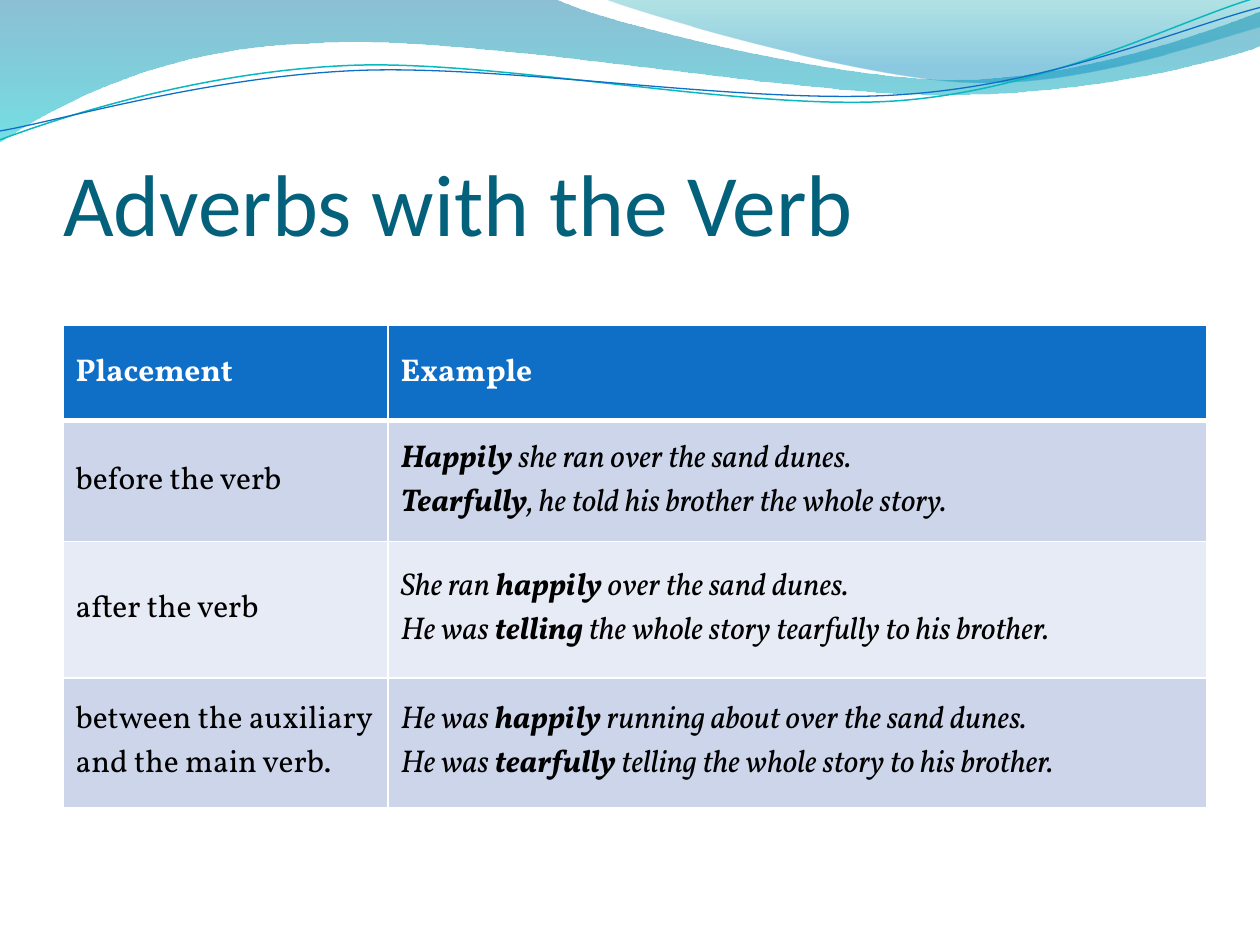
from math import cos, radians, sin

from lxml.etree import SubElement as Sub
from pptx import Presentation
from pptx.dml.color import RGBColor as RGB
from pptx.enum.text import MSO_ANCHOR as Anchor, MSO_AUTO_SIZE as Fit, PP_ALIGN as Align
from pptx.oxml.ns import qn
from pptx.util import Inches as In, Pt

WIDE, HIGH = 10, 7.5
LEFT = WIDE / 20
TILT = 2.7
BLUE, DARK, PALE, MIST = "0F6FC6", "04617B", "CCD5EA", "E7EBF5"
COLS = [2.58, 6.5]
ROWS = [0.76, 0.96, 1.08, 1.03]
CELLS = [
    (["Placement"], ["Example"]),
    (["before the verb"],
     ["*Happily* she ran over the sand dunes.",
      "*Tearfully*, he told his brother the whole story."]),
    (["after the verb"],
     ["She ran *happily* over the sand dunes.",
      "He was *telling* the whole story tearfully to his brother."]),
    (["between the auxiliary and the main verb."],
     ["He was *happily* running about over the sand dunes.",
      "He was *tearfully* telling the whole story to his brother."]),
]
BANDS = [
    ([(0, 0), (4.4, -0.01),
      (4.76, 0.17, 6.64, 0.63, 7.58, 0.63), (8.53, 0.63, 9.58, 0.26, 10, 0.09),
      (10.01, 0.36),
      (9.83, 0.44, 8.7, 0.76, 7.46, 0.75), (6.22, 0.75, 3.82, 0.28, 2.57, 0.34),
      (1.29, 0.36, 0.46, 0.83, -0.01, 1.13)],
     [(0, "0074A1", 45), (1, "00C6CF", 55)]),
    ([(4.79, -0.01),
      (5.09, 0.11, 6.82, 0.62, 7.69, 0.65), (8.56, 0.69, 9.61, 0.32, 10, 0.21),
      (10, 0)],
     [(0, "00A1A9", 30), (0.8, "008BBF", 45)]),
]
WAVES = [
    ([(0, 1.11), (0.48, 0.93, 1.58, 0.57, 2.77, 0.52),
      (3.95, 0.47, 5.93, 0.89, 7.13, 0.8), (8.33, 0.71, 9.38, 0.15, 9.98, -0.02)],
     "0AB8BF", 0.85),
    ([(0, 1.04), (0.47, 0.96, 1.64, 0.61, 2.83, 0.56),
      (4.03, 0.51, 5.97, 0.84, 7.17, 0.75), (8.36, 0.67, 9.41, 0.21, 10, 0.06)],
     BLUE, 0.75),
]


def paint(color, code):
    """Set a colour from a hex string."""
    color.rgb = RGB.from_string(code)


def apply(item, **values):
    """Set attributes from a dict of format values."""
    for name, value in values.items():
        setattr(item, name, value)


def write(para, text, size, face, code, **style):
    """Write text in which starred parts are bold."""
    for i, part in enumerate(text.split("*")):
        if part:
            run = para.add_run()
            run.text = part
            apply(run.font, **{"size": Pt(size), "name": face, "bold": i % 2 == 1, **style})
            paint(run.font.color, code)


def pairs(seg):
    """Split a flat segment into points."""
    return list(zip(seg[::2], seg[1::2]))


def spin(seg, mid=(WIDE / 2, 0.58)):
    """Turn the points of a segment clockwise about a centre."""
    s, c = sin(radians(TILT)), cos(radians(TILT))
    flat = []
    for x, y in pairs(seg):
        dx, dy = x - mid[0], y - mid[1]
        flat += [mid[0] + dx * c - dy * s, mid[1] + dx * s + dy * c]
    return flat


def outline(slide, path, close):
    """Build a freeform of lines and cubic curves."""
    ends = [(In(x), In(y)) for x, y in (seg[-2:] for seg in path)]
    pen = slide.shapes.build_freeform(*ends[0], scale=1.0)
    pen.add_line_segments(ends[1:], close=close)
    shape = pen.convert_to_shape()
    shape.shadow.inherit = False
    lines = list(shape._element.spPr.iter(qn("a:lnTo")))
    for line, seg in zip(lines, path[1:]):
        if len(seg) == 6:
            line.tag = qn("a:cubicBezTo")
            for i, (x, y) in enumerate(pairs(seg)[:2]):
                knot = line.makeelement(qn("a:pt"), x=str(In(x) - shape.left),
                                        y=str(In(y) - shape.top))
                line.insert(i, knot)
    return shape


def band(slide, path, stops):
    """Draw a see-through band that fades downwards."""
    shape = outline(slide, path, True)
    shape.line.fill.background()
    fill = shape.fill
    fill.gradient()
    fill.gradient_angle = 270
    for stop, (place, code, _) in zip(fill.gradient_stops, stops):
        stop.position = place
        paint(stop.color, code)
    tints = shape._element.spPr.iter(qn("a:srgbClr"))
    for tint, (_, _, alpha) in zip(list(tints), stops):
        Sub(tint, qn("a:alpha"), val=str(alpha * 1000))


def wave(slide, path, code, width):
    """Draw a thin tilted wavy line."""
    shape = outline(slide, [spin(seg) for seg in path], False)
    shape.rotation = 360 - TILT
    shape.fill.background()
    shape.line.width = Pt(width)
    paint(shape.line.color, code)


def head(slide, text):
    """Place and format the title."""
    title = slide.shapes.title
    apply(title, left=In(LEFT), top=In(0.77), width=In(WIDE * 0.9), height=In(HIGH / 6))
    frame = title.text_frame
    apply(frame, margin_left=0, margin_right=0, margin_top=In(0.05), margin_bottom=0,
          vertical_anchor=Anchor.BOTTOM, auto_size=Fit.NONE, word_wrap=True)
    para = frame.paragraphs[0]
    para.alignment = Align.LEFT
    write(para, text, 50, "Calibri", DARK)


def edge(cell, low):
    """Give a cell white borders, the bottom one with its own width."""
    props = cell._tc.get_or_add_tcPr()
    for i, (side, width) in enumerate(zip("LRTB", (1, 1, 1, low))):
        line = props.makeelement(qn("a:ln" + side), w=str(Pt(width)))
        Sub(Sub(line, qn("a:solidFill")), qn("a:srgbClr"), val="FFFFFF")
        props.insert(i, line)


def grid(slide):
    """Build the table of adverb places."""
    table = slide.shapes.add_table(len(ROWS), len(COLS), In(LEFT), In(2.58),
                                   In(sum(COLS)), In(sum(ROWS))).table
    for col, width in zip(table.columns, COLS):
        col.width = In(width)
    for r, (row, height) in enumerate(zip(table.rows, ROWS)):
        row.height = In(height)
        top = r == 0
        for c, cell in enumerate(row.cells):
            cell.vertical_anchor = Anchor.MIDDLE
            cell.fill.solid()
            paint(cell.fill.fore_color, BLUE if top else PALE if r % 2 else MIST)
            edge(cell, 3 if top else 1)
            style = {"bold": True} if top else {"italic": c == 1}
            frame = cell.text_frame
            for i, text in enumerate(CELLS[r][c]):
                para = frame.add_paragraph() if i else frame.paragraphs[0]
                write(para, text, 18, "Vollkorn", "FFFFFF" if top else "000000", **style)


def main():
    """Build and save the slide."""
    deck = Presentation()
    apply(deck, slide_width=In(WIDE), slide_height=In(HIGH))
    slide = deck.slides.add_slide(deck.slide_layouts[5])
    for item in BANDS:
        band(slide, *item)
    for item in WAVES:
        wave(slide, *item)
    head(slide, "Adverbs with the Verb")
    grid(slide)
    deck.save("out.pptx")


if __name__ == "__main__":
    main()
